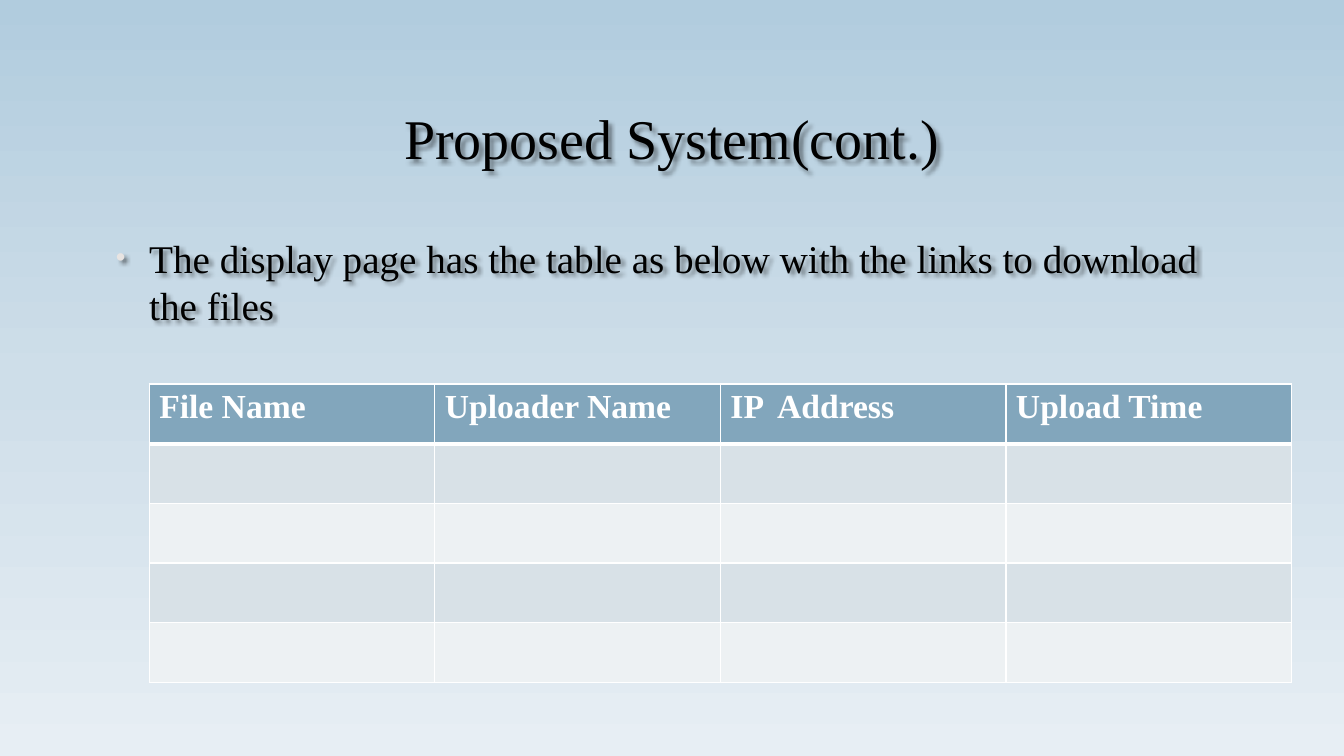
from pptx import Presentation
from pptx import util as u
from pptx.dml.color import RGBColor
from pptx.enum import text
from pptx.oxml import parse_xml
from pptx.oxml.ns import nsdecls

theme = {
    "font": "Times New Roman", "ink": "000000", "white": "FFFFFF",
    "title": 40, "body": 28, "head": 24, "bullet": "E8E4E2",
    "sky": [(0, "B1CCDE"), (50, "CEDEE9"), (100, "E7EEF4")],
    "header": "82A6BC", "bands": ["D8E1E7", "EDF1F3"],
}


def add_run(par, words, size, color, bold=False):
    """Add one formatted run to a paragraph."""
    run = par.add_run()
    run.text = words
    font = run.font
    font.name, font.size, font.bold = theme["font"], u.Pt(size), bold
    font.color.rgb = RGBColor.from_string(color)


def make(tag, attrs="", inner=""):
    """Build one DrawingML element."""
    return parse_xml(f"<a:{tag} {nsdecls('a')} {attrs}>{inner}</a:{tag}>")


deck = Presentation()
deck.slide_width, deck.slide_height = u.Inches(13.33), u.Inches(7.5)
slide = deck.slides.add_slide(deck.slide_layouts[1])

# Background gradient, top to bottom
sky = slide.background.fill
sky.gradient()
sky.gradient_angle = 270
stops = "".join(f'<a:gs pos="{pos * 1000}"><a:srgbClr val="{color}"/></a:gs>'
                for pos, color in theme["sky"])
grad = slide.background._cSld.find(".//{*}gradFill")
grad.replace(grad.find("{*}gsLst"), make("gsLst", "", stops))

# Title and body
title, body = slide.shapes.title, slide.placeholders[1]
for shape, top, height, anchor in [
        (title, 0.67, 1.38, text.MSO_ANCHOR.MIDDLE),
        (body, 2.27, 1.29, text.MSO_ANCHOR.TOP)]:
    shape.left, shape.top = u.Inches(1), u.Inches(top)
    shape.width, shape.height = u.Inches(11.32), u.Inches(height)
    frame = shape.text_frame
    frame.word_wrap = True
    frame.auto_size = text.MSO_AUTO_SIZE.NONE
    frame.vertical_anchor = anchor
    shape._element.spPr.append(make(
        "effectLst", "",
        '<a:outerShdw blurRad="38100" dist="38100" dir="2700000" algn="tl">'
        '<a:srgbClr val="000000"><a:alpha val="43000"/></a:srgbClr>'
        "</a:outerShdw>"))

par = title.text_frame.paragraphs[0]
par.alignment = text.PP_ALIGN.CENTER
add_run(par, "Proposed System(cont.)", theme["title"], theme["ink"])

par = body.text_frame.paragraphs[0]
par.space_before, par.space_after = u.Pt(5.6), u.Pt(6)
add_run(par, "The display page has the table as below with the links to "
        "download the files", theme["body"], theme["ink"])
props = par._p.get_or_add_pPr()
props.set("marL", str(u.Inches(0.38)))
props.set("indent", str(u.Inches(-0.33)))
for part in [
        make("buClr", "", f'<a:srgbClr val="{theme["bullet"]}"/>'),
        make("buSzPct", 'val="70000"'),
        make("buFont", 'typeface="Arial"'),
        make("buChar", 'char="•"')]:
    props.append(part)

# File table: a header row and four banded empty rows
heads = ["File Name", "Uploader Name", "IP  Address", "Upload Time"]
count = 5
table = slide.shapes.add_table(
    count, len(heads), u.Inches(1.48), u.Inches(3.81),
    u.Inches(11.33), u.Inches(2.96)).table
table.horz_banding = False
for row in range(count):
    for col, head in enumerate(heads):
        cell = table.cell(row, col)
        edges = {"lnL": 1, "lnR": 1, "lnT": 3 if row == 1 else 1,
                 "lnB": 3 if row == 0 else 1}
        for edge, width in edges.items():
            cell._tc.get_or_add_tcPr().append(make(
                edge, f'w="{u.Pt(width)}"',
                f'<a:solidFill><a:srgbClr val="{theme["white"]}"/></a:solidFill>'))
        color = theme["bands"][(row - 1) % 2] if row else theme["header"]
        cell.fill.solid()
        cell.fill.fore_color.rgb = RGBColor.from_string(color)
        if row == 0:
            add_run(cell.text_frame.paragraphs[0], head,
                    theme["head"], theme["white"], True)

deck.save("out.pptx")
